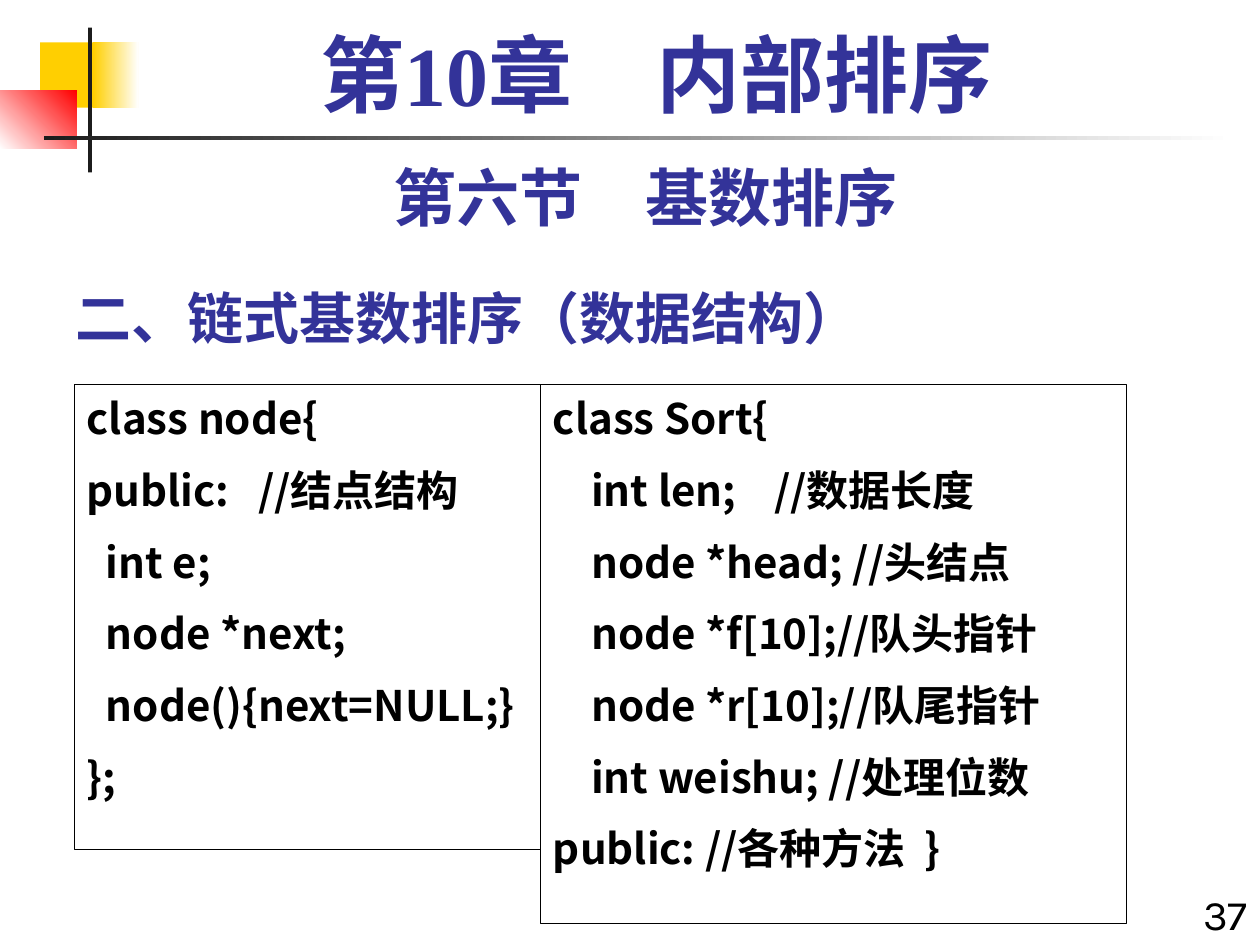
import pptx
import pptx.util
import pptx.dml.color
import pptx.enum.shapes
import pptx.enum.text
from dataclasses import dataclass
from lxml import etree

Pt = pptx.util.Pt
RGB = pptx.dml.color.RGBColor.from_string
RECT = pptx.enum.shapes.MSO_SHAPE.RECTANGLE
ALIGN = pptx.enum.text.PP_ALIGN
ANCHOR = pptx.enum.text.MSO_ANCHOR


@dataclass(frozen=True)
class Theme:
    blue: str = "333399"
    black: str = "000000"
    dark: str = "1C1C1C"
    yellow: str = "FFCF01"
    red: str = "FF0000"
    white: str = "FFFFFF"
    cjk: str = "Noto Sans CJK SC"
    sans: str = "Karla"
    serif: str = "Times New Roman"
    chapter: int = 48
    section: int = 36
    heading: int = 32
    body: int = 24


T = Theme()


def add_rect(box, colors=(), angle=0):
    sp = s.shapes.add_shape(RECT, *map(Pt, box))
    sp.shadow.inherit = False
    sp.line.fill.background()
    if len(colors) == 2:
        sp.fill.gradient()
        sp.fill.gradient_angle = angle
        for stop, color in zip(sp.fill.gradient_stops, colors):
            stop.color.rgb = RGB(color)
    elif colors:
        sp.fill.solid()
        sp.fill.fore_color.rgb = RGB(colors[0])
    else:
        sp.fill.background()
    return sp


def write(sp, lines, name, size, color, bold=True, anchor=ANCHOR.TOP, indent=0, **layout):
    tf = sp.text_frame
    frame = {"word_wrap": True, "auto_size": pptx.enum.text.MSO_AUTO_SIZE.NONE,
             "vertical_anchor": anchor}
    for key, value in frame.items():
        setattr(tf, key, value)
    for i, line in enumerate(lines):
        p = tf.paragraphs[0] if i == 0 else tf.add_paragraph()
        for key, value in layout.items():
            if i or key != "space_before":
                setattr(p, key, value)
        if indent:
            pPr = p._p.get_or_add_pPr()
            pPr.set("marL", str(Pt(indent)))
            pPr.set("indent", str(-Pt(indent)))
        r = p.add_run()
        r.text = line
        for key, value in {"name": name, "size": Pt(size), "bold": bold}.items():
            setattr(r.font, key, value)
        r.font.color.rgb = RGB(color)
        latin = r._r.rPr.find(pptx.oxml.ns.qn("a:latin"))
        ea = etree.Element(pptx.oxml.ns.qn("a:ea"), typeface=T.cjk)
        latin.addnext(ea)


prs = pptx.Presentation()
prs.slide_width, prs.slide_height = Pt(720), Pt(540)
s = prs.slides.add_slide(prs.slide_layouts[5])

decorations = [
    ((23, 24.2, 34.6, 37.4), (T.yellow,), 0),
    ((53.3, 24.2, 25.9, 37.4), (T.yellow, T.white), 0),
    ((0, 51.8, 44, 33.1), (T.white, T.red), 45),
    ((50.4, 15.8, 2.2, 82.8), (T.dark,), 0),
    ((25.2, 77.8, 679.7, 2.2), (T.dark, T.white), 0),
]
for box, colors, angle in decorations:
    add_rect(box, colors, angle)

title = s.shapes.title
for key, value in zip(("left", "top", "width", "height"), (36, 146.2, 594, 54)):
    setattr(title, key, Pt(value))
write(title, ["二、链式基数排序（数据结构）"], T.cjk, T.heading, T.blue,
      anchor=ANCHOR.BOTTOM, alignment=ALIGN.LEFT)
title.text_frame.margin_bottom = Pt(0)

labels = [
    ((649.4, 504, 70.6, 36), "37", T.sans, T.body, T.black, False, ALIGN.RIGHT, None),
    ((36, 84.2, 666, 50.4), "第六节\u3000基数排序", T.sans, T.section, T.blue, True, ALIGN.CENTER, Pt(46)),
    ((48.2, 12.2, 653.8, 59.8), "第10章\u3000内部排序", T.serif, T.chapter, T.blue, True, ALIGN.CENTER, Pt(55)),
]
for box, text, name, size, color, bold, align, spacing in labels:
    sp = s.shapes.add_textbox(*map(Pt, box))
    write(sp, [text], name, size, color, bold, alignment=align, line_spacing=spacing)

node_code = """class node{
public:   //结点结构
  int e;
  node *next;
  node(){next=NULL;}
};"""
sort_code = """class Sort{
    int len;    //数据长度
    node *head; //头结点
    node *f[10];//队头指针
    node *r[10];//队尾指针
    int weishu; //处理位数
public: //各种方法  }"""

for left, width, height, code in [(42.5, 266.4, 265.7, node_code),
                                  (308.9, 334.8, 308.2, sort_code)]:
    sp = add_rect((left, 219.6, width, height))
    sp.line.color.rgb = RGB(T.black)
    sp.line.width = Pt(0.75)
    write(sp, code.splitlines(), T.cjk, T.body, T.black, indent=27,
          alignment=ALIGN.LEFT, line_spacing=Pt(30), space_before=Pt(11))

prs.save("out.pptx")
